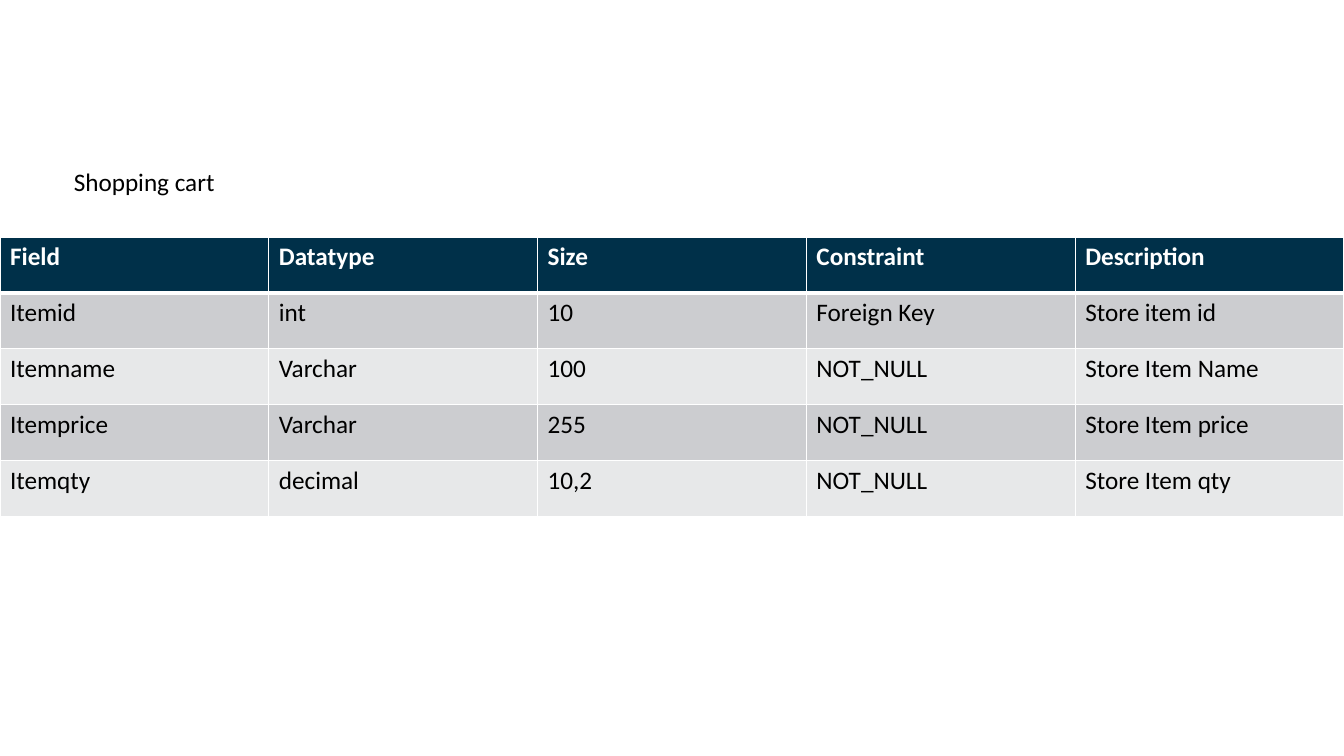
from lxml.etree import SubElement
from pptx import Presentation
from pptx.dml.color import RGBColor
from pptx.enum.text import MSO_ANCHOR, MSO_AUTO_SIZE, PP_ALIGN
from pptx.oxml.ns import qn
from pptx.util import Cm, Pt

# Content
TITLE = "Shopping cart"
ROWS = [
    ("Field", "Datatype", "Size", "Constraint", "Description"),
    ("Itemid", "int", "10", "Foreign Key", "Store item id"),
    ("Itemname", "Varchar", "100", "NOT_NULL", "Store Item Name"),
    ("Itemprice", "Varchar", "255", "NOT_NULL", "Store Item price"),
    ("Itemqty", "decimal", "10,2", "NOT_NULL", "Store Item qty"),
]

# Style
FONT, FONT_SIZE = "Calibri", 18
WHITE, BLACK, NAVY = "FFFFFF", "000000", "003049"
BANDS = ("CCCDD0", "E7E8E9")
SLIDE_WIDTH, SLIDE_HEIGHT = Cm(33.87), Cm(19.05)
TABLE_TOP, ROW_HEIGHT = Cm(5.97), Cm(1.41)


def color(value):
    return RGBColor.from_string(value)


def format_text(paragraph, text_color, bold=False):
    for run in paragraph.runs:
        run.font.name = FONT
        run.font.size = Pt(FONT_SIZE)
        run.font.bold = bold
        run.font.color.rgb = color(text_color)


def add_borders(cell, top, bottom):
    properties = cell._tc.get_or_add_tcPr()
    for side, width in (("L", 1), ("R", 1), ("T", top), ("B", bottom)):
        line = SubElement(properties, qn(f"a:ln{side}"), w=str(Pt(width)))
        fill = SubElement(line, qn("a:solidFill"))
        SubElement(fill, qn("a:srgbClr"), val=WHITE)


def add_title(slide):
    title = slide.shapes.title
    title.left, title.top = Cm(1.17), Cm(4.06)
    title.width, title.height = Cm(4.93), Cm(1.03)
    text_frame = title.text_frame
    text_frame.text = TITLE
    text_frame.word_wrap = True
    text_frame.auto_size = MSO_AUTO_SIZE.SHAPE_TO_FIT_TEXT
    text_frame.vertical_anchor = MSO_ANCHOR.TOP
    paragraph = text_frame.paragraphs[0]
    paragraph.alignment = PP_ALIGN.CENTER
    format_text(paragraph, BLACK)


def add_field_table(slide):
    table = slide.shapes.add_table(
        len(ROWS), len(ROWS[0]), 0, TABLE_TOP, SLIDE_WIDTH, ROW_HEIGHT * len(ROWS)
    ).table
    for row_index, row in enumerate(ROWS):
        header = row_index == 0
        for column_index, text in enumerate(row):
            cell = table.cell(row_index, column_index)
            cell.text = text
            format_text(cell.text_frame.paragraphs[0], WHITE if header else BLACK, header)
            # A thicker line separates the header from the body
            add_borders(cell, 3 if row_index == 1 else 1, 3 if header else 1)
            cell.fill.solid()
            cell.fill.fore_color.rgb = color(NAVY if header else BANDS[(row_index - 1) % 2])


def main():
    presentation = Presentation()
    presentation.slide_width, presentation.slide_height = SLIDE_WIDTH, SLIDE_HEIGHT
    slide = presentation.slides.add_slide(presentation.slide_layouts.get_by_name("Title Only"))
    add_field_table(slide)
    add_title(slide)
    presentation.save("out.pptx")


if __name__ == "__main__":
    main()
